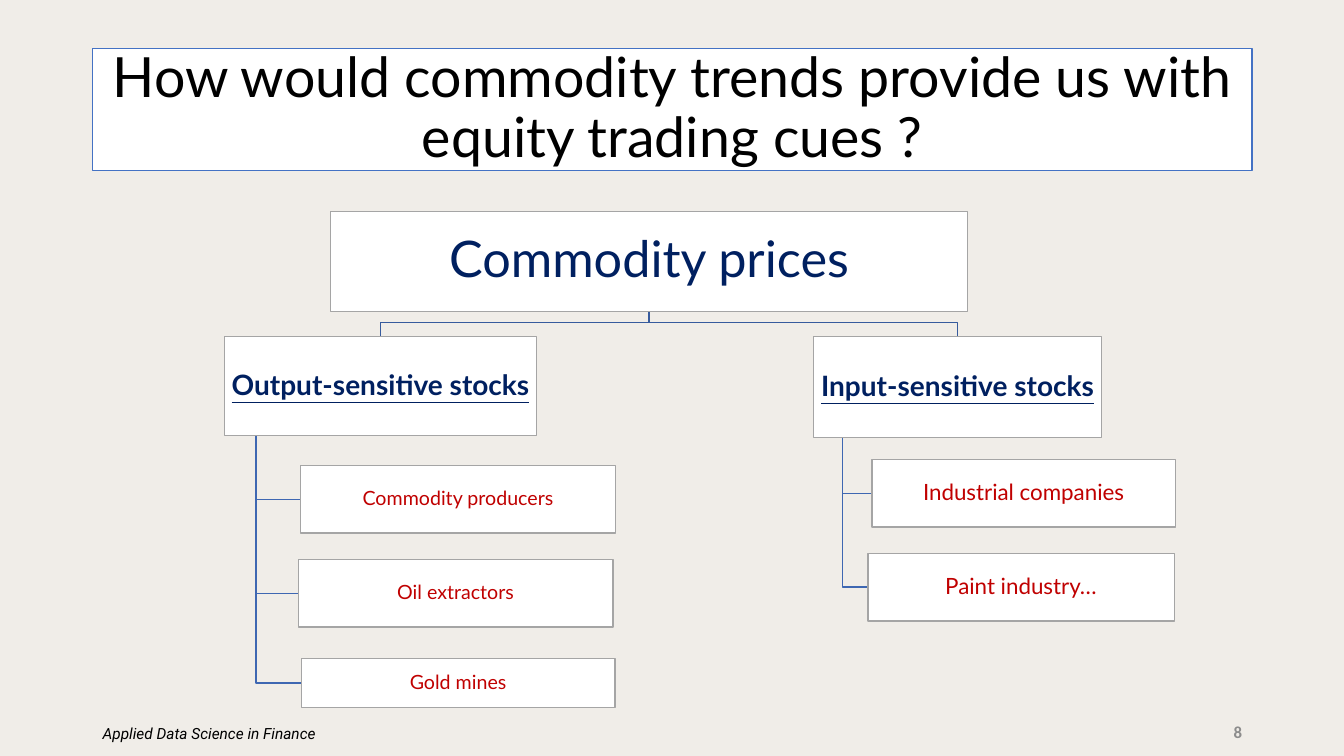
from dataclasses import dataclass
from typing import NamedTuple

from pptx import Presentation
from pptx.dml.color import RGBColor as Rgb
from pptx.enum.shapes import MSO_SHAPE as Preset
from pptx.enum.text import MSO_ANCHOR as Anchor, PP_ALIGN as Align
from pptx.util import Inches, Pt

# The grid has ten columns and ten rows to the inch.
CELL = Inches(0.1)
COLUMNS, ROWS = 133.33, 75


@dataclass(frozen=True)
class Theme:
    background: str = "F0EDE8"
    box_fill: str = "FFFFFF"
    box_line: str = "A5A5A5"
    title_line: str = "4472C4"
    root_link: str = "365B9D"
    leaf_link: str = "3E67B2"
    text: str = "000000"
    heading: str = "002060"
    leaf: str = "C00000"
    number: str = "8C8C8C"
    diagram_font: str = "Lato"
    footer_font: str = "Roboto"
    number_font: str = "Calibri"
    title_size: float = 39.6
    root_size: float = 36
    branch_size: float = 20
    output_leaf_size: float = 14
    input_leaf_size: float = 16
    footer_size: float = 11
    number_size: float = 12
    line_width: float = 1


THEME = Theme()


class Box(NamedTuple):
    left: float
    top: float
    width: float
    height: float

    @property
    def center(self):
        return self.left + self.width / 2

    @property
    def middle(self):
        return self.top + self.height / 2

    @property
    def bottom(self):
        return self.top + self.height


TITLE = Box(9.2, 4.8, 115, 12.1)
FOOTER = Box(9.2, 70.8, 46.2, 4)
NUMBER = Box(10.8, 70.6, 113.4, 4)
ROOT = Box(32.8, 21, 63.2, 9.9)
BRANCHES = [
    ("Output-sensitive stocks", Box(22.3, 33.4, 30.9, 9.8), THEME.output_leaf_size, [
        ("Commodity producers", Box(29.8, 46.2, 31.3, 6.7)),
        ("Oil extractors", Box(29.6, 55.5, 31.2, 6.7)),
        ("Gold mines", Box(29.9, 65.3, 31.1, 4.9)),
    ]),
    ("Input-sensitive stocks", Box(80.7, 33.4, 28.6, 10), THEME.input_leaf_size, [
        ("Industrial companies", Box(86.5, 45.6, 30.1, 6.7)),
        ("Paint industry…", Box(86.1, 54.9, 30.4, 6.7)),
    ]),
]
ROOT_BEND = 32
TRUNK_SHARE = 0.1


def grid(*cells):
    return [round(cell * CELL) for cell in cells]


def apply_format(target, values):
    for name, value in values.items():
        setattr(target, name, value)


def style_line(shape, color):
    shape.shadow.inherit = False
    shape.line.color.rgb = Rgb.from_string(color)
    shape.line.width = Pt(THEME.line_width)


def write_text(shape, text, color, align=Align.CENTER, spacing=0.9, inset=None, **font):
    """Fill a shape with one paragraph; inset is in inches, font holds font attributes."""
    frame = shape.text_frame
    apply_format(frame, {"word_wrap": True, "vertical_anchor": Anchor.MIDDLE})
    if inset is not None:
        sides = ("left", "top", "right", "bottom")
        apply_format(frame, {f"margin_{side}": Inches(inset) for side in sides})
    paragraph = frame.paragraphs[0]
    apply_format(paragraph, {"alignment": align, "line_spacing": spacing})
    run = paragraph.add_run()
    run.text = text
    apply_format(run.font, font)
    run.font.color.rgb = Rgb.from_string(color)


def add_box(slide, box, text, color, size, line=THEME.box_line, inset=0.01, **font):
    shape = slide.shapes.add_shape(Preset.RECTANGLE, *grid(*box))
    shape.fill.solid()
    shape.fill.fore_color.rgb = Rgb.from_string(THEME.box_fill)
    style_line(shape, line)
    write_text(shape, text, color, inset=inset, size=Pt(size),
               name=THEME.diagram_font, **font)


def add_label(slide, box, text, color, align, **font):
    shape = slide.shapes.add_textbox(*grid(*box))
    write_text(shape, text, color, align=align, spacing=1.0, **font)


def add_link(slide, points, color):
    """Draw an open line through points given in grid cells."""
    start, *rest = [grid(*point) for point in points]
    builder = slide.shapes.build_freeform(*start)
    builder.add_line_segments(rest, close=False)
    shape = builder.convert_to_shape()
    shape.fill.background()
    style_line(shape, color)


def add_branch_links(slide, branch, leaves):
    add_link(slide, [(ROOT.center, ROOT.bottom), (ROOT.center, ROOT_BEND),
                     (branch.center, ROOT_BEND), (branch.center, branch.top)],
             THEME.root_link)
    trunk = branch.left + TRUNK_SHARE * branch.width
    for _, leaf in leaves:
        add_link(slide, [(trunk, branch.bottom), (trunk, leaf.middle),
                         (leaf.left, leaf.middle)], THEME.leaf_link)


def add_tree(slide):
    for _, branch, _, leaves in BRANCHES:
        add_branch_links(slide, branch, leaves)
    add_box(slide, ROOT, "Commodity prices", THEME.heading, THEME.root_size, inset=0.03)
    for name, branch, leaf_size, leaves in BRANCHES:
        add_box(slide, branch, name, THEME.heading, THEME.branch_size,
                bold=True, underline=True)
        for leaf_name, leaf in leaves:
            add_box(slide, leaf, leaf_name, THEME.leaf, leaf_size)


def main():
    presentation = Presentation()
    presentation.slide_width, presentation.slide_height = grid(COLUMNS, ROWS)
    slide = presentation.slides.add_slide(presentation.slide_layouts[6])
    slide.background.fill.solid()
    slide.background.fill.fore_color.rgb = Rgb.from_string(THEME.background)

    add_box(slide, TITLE, "How would commodity trends provide us with equity trading cues ?",
            THEME.text, THEME.title_size, line=THEME.title_line, inset=0.05)
    add_tree(slide)
    add_label(slide, FOOTER, "Applied Data Science in Finance", THEME.text, Align.LEFT,
              name=THEME.footer_font, size=Pt(THEME.footer_size), italic=True)
    add_label(slide, NUMBER, "8", THEME.number, Align.RIGHT,
              name=THEME.number_font, size=Pt(THEME.number_size), bold=True)
    presentation.save("out.pptx")


if __name__ == "__main__":
    main()
